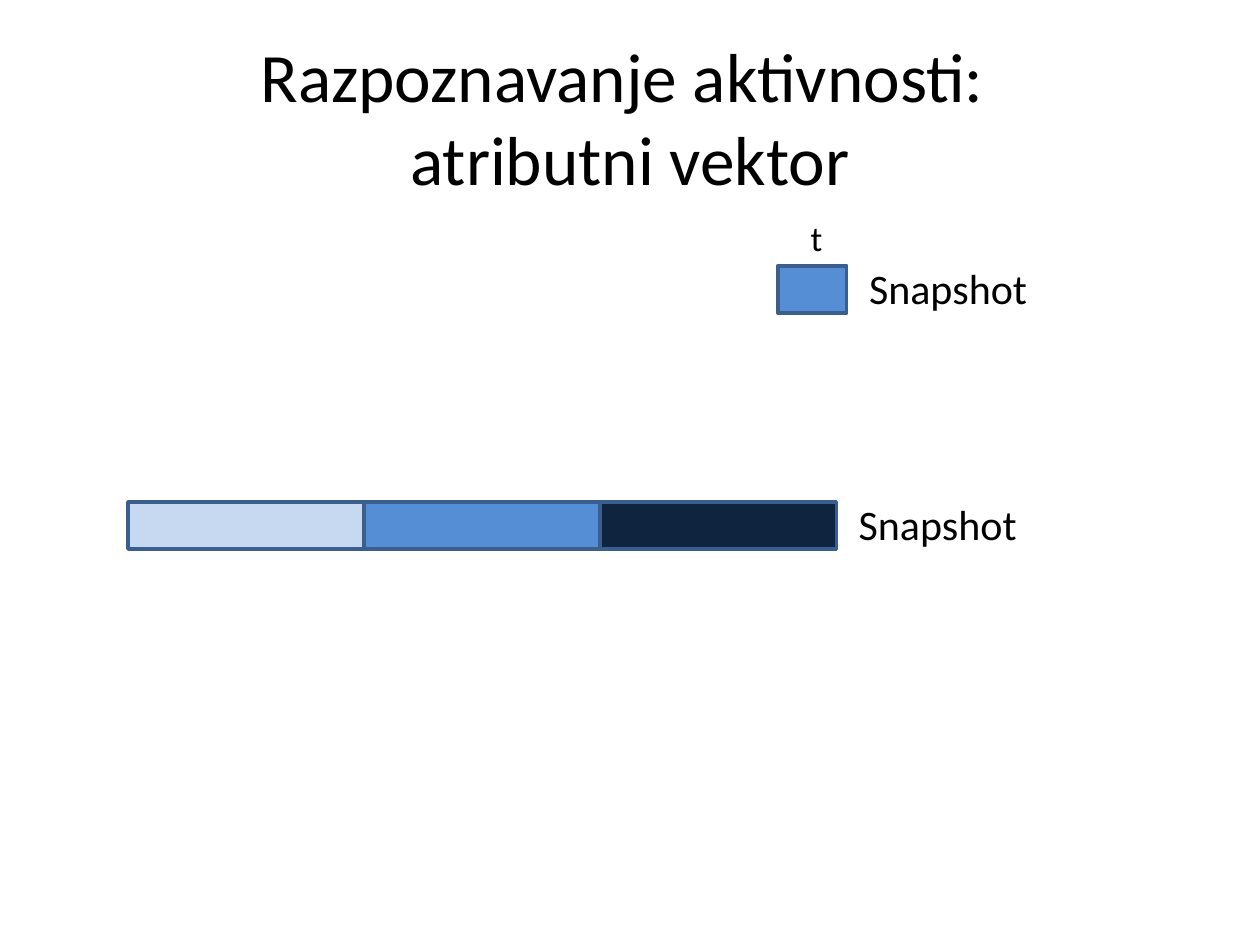
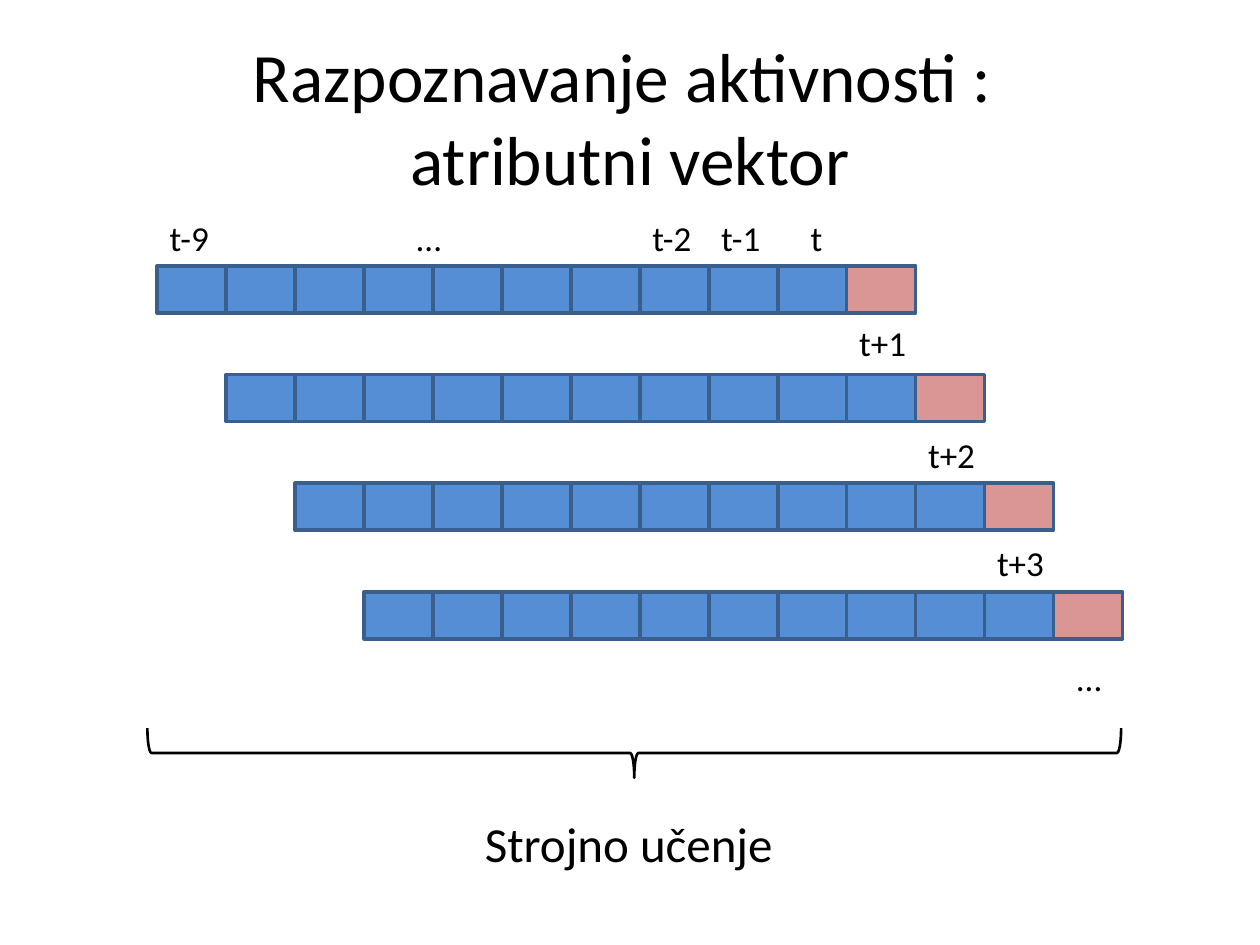
from pptx import Presentation
from pptx.dml.color import RGBColor
from pptx.enum.shapes import MSO_SHAPE
from pptx.enum.text import MSO_ANCHOR, MSO_AUTO_SIZE, PP_ALIGN
from pptx.util import Cm, Pt

COLORS = {
    "text": "000000",
    "light": "C6D9F1",
    "blue": "558ED5",
    "navy": "0F243E",
    "red": "D99694",
    "border": "3A5F8C",
}
FONT = "Calibri"

# Shared time grid, in cm
GRID_LEFT, GRID_TOP = 3.17, 5.36
CELL_W, CELL_H = 1.39, 0.95
ROW_STEP = 2.19
WINDOW = 10  # snapshots in one attribute vector
NOW = WINDOW - 1  # column of time t
LABEL_LIFT = 1.13  # from the top of a label to the top of its row


def rgb(name):
    return RGBColor.from_string(COLORS[name])


def column(i):
    return GRID_LEFT + i * CELL_W


def row(i):
    return GRID_TOP + i * ROW_STEP


def format_text(tf, size):
    for p in tf.paragraphs:
        for r in p.runs:
            r.font.name = FONT
            r.font.size = Pt(size)
            r.font.color.rgb = rgb("text")


def add_title_slide(prs, title):
    s = prs.slides.add_slide(prs.slide_layouts[5])
    sp = s.shapes.title
    sp.left, sp.top, sp.width, sp.height = Cm(1.27), Cm(0.76), Cm(22.86), Cm(3.18)
    tf = sp.text_frame
    tf.text = title
    tf.word_wrap = True
    tf.auto_size = MSO_AUTO_SIZE.NONE
    tf.vertical_anchor = MSO_ANCHOR.MIDDLE
    tf.paragraphs[0].alignment = PP_ALIGN.CENTER
    format_text(tf, 39.6)
    return s


def add_label(s, text, x, y, w, h=1.12, size=20):
    sp = s.shapes.add_textbox(Cm(x), Cm(y), Cm(w), Cm(h))
    tf = sp.text_frame
    tf.text = text
    tf.word_wrap = False
    tf.auto_size = MSO_AUTO_SIZE.SHAPE_TO_FIT_TEXT
    format_text(tf, size)


def add_cells(shapes, x, y, fills, w=CELL_W):
    """Row of touching cells, one for each fill."""
    for i, fill in enumerate(fills):
        sp = shapes.add_shape(MSO_SHAPE.RECTANGLE,
                              Cm(x + i * w), Cm(y), Cm(w), Cm(CELL_H))
        sp.shadow.inherit = False
        sp.fill.solid()
        sp.fill.fore_color.rgb = rgb(fill)
        sp.line.color.rgb = rgb("border")
        sp.line.width = Pt(2)


def add_now_label(s):
    add_label(s, "t", column(NOW) + 0.41, row(0) - LABEL_LIFT, 0.76)


def add_snapshot_label(s, x, y):
    """Caption to the right of a cell row that ends at x."""
    add_label(s, "Snapshot", x + 0.2, y - 0.19, 3.73, 1.27, 24)


def add_split_snapshot(s, x, y, part_w):
    """Snapshot enlarged to show its three groups of attributes."""
    fills = ["light", "blue", "navy"]
    group = s.shapes.add_group_shape()
    add_cells(group.shapes, x, y, fills, part_w)
    add_snapshot_label(s, x + len(fills) * part_w, y)


def add_brace(s, x, y, w, h, caption):
    """Downward brace filling the given box, with a caption below it."""
    # The shape is turned about its centre, so width and height swap
    sp = s.shapes.add_shape(MSO_SHAPE.RIGHT_BRACE, Cm(x + (w - h) / 2),
                            Cm(y + (h - w) / 2), Cm(h), Cm(w))
    sp.rotation = 90
    sp.shadow.inherit = False
    sp.fill.background()
    sp.line.color.rgb = rgb("text")
    sp.line.width = Pt(1.5)
    caption_w = 6.38
    add_label(s, caption, x + (w - caption_w) / 2 - 0.07, y + 1.6,
              caption_w, 1.45, 28)


def build_snapshot_slide(prs):
    s = add_title_slide(prs, "Razpoznavanje aktivnosti: \vatributni vektor")
    add_split_snapshot(s, 2.58, 10.12, 4.76)
    add_cells(s.shapes, column(NOW), row(0), ["blue"])
    add_now_label(s)
    add_snapshot_label(s, column(NOW + 1), row(0))


def build_window_slide(prs):
    s = add_title_slide(prs, "Razpoznavanje aktivnosti : \vatributni vektor")

    # Sliding windows, each followed by its class cell
    for i in range(4):
        add_cells(s.shapes, column(i), row(i), ["blue"] * WINDOW + ["red"])

    # Times above the first window
    for text, col in [("t-9", 0), ("t-2", NOW - 2), ("t-1", NOW - 1)]:
        add_label(s, text, column(col), row(0) - LABEL_LIFT, 1.32)
    add_label(s, "...", 8.13, row(0) - LABEL_LIFT, 1.04)
    add_now_label(s)

    # Newest time above each later window
    for i, lift in enumerate([1.2, 1.13, 1.13], start=1):
        add_label(s, f"t+{i}", column(NOW + i), row(i) - lift, 1.47)
    add_label(s, "...", column(NOW + 4) + 0.2, row(4) - 1.02, 1.04)

    add_brace(s, 2.97, 14.68, 19.63, 1, "Strojno učenje")


prs = Presentation()
prs.slide_width, prs.slide_height = Cm(25.4), Cm(19.05)
build_snapshot_slide(prs)
build_window_slide(prs)
prs.save("out.pptx")
